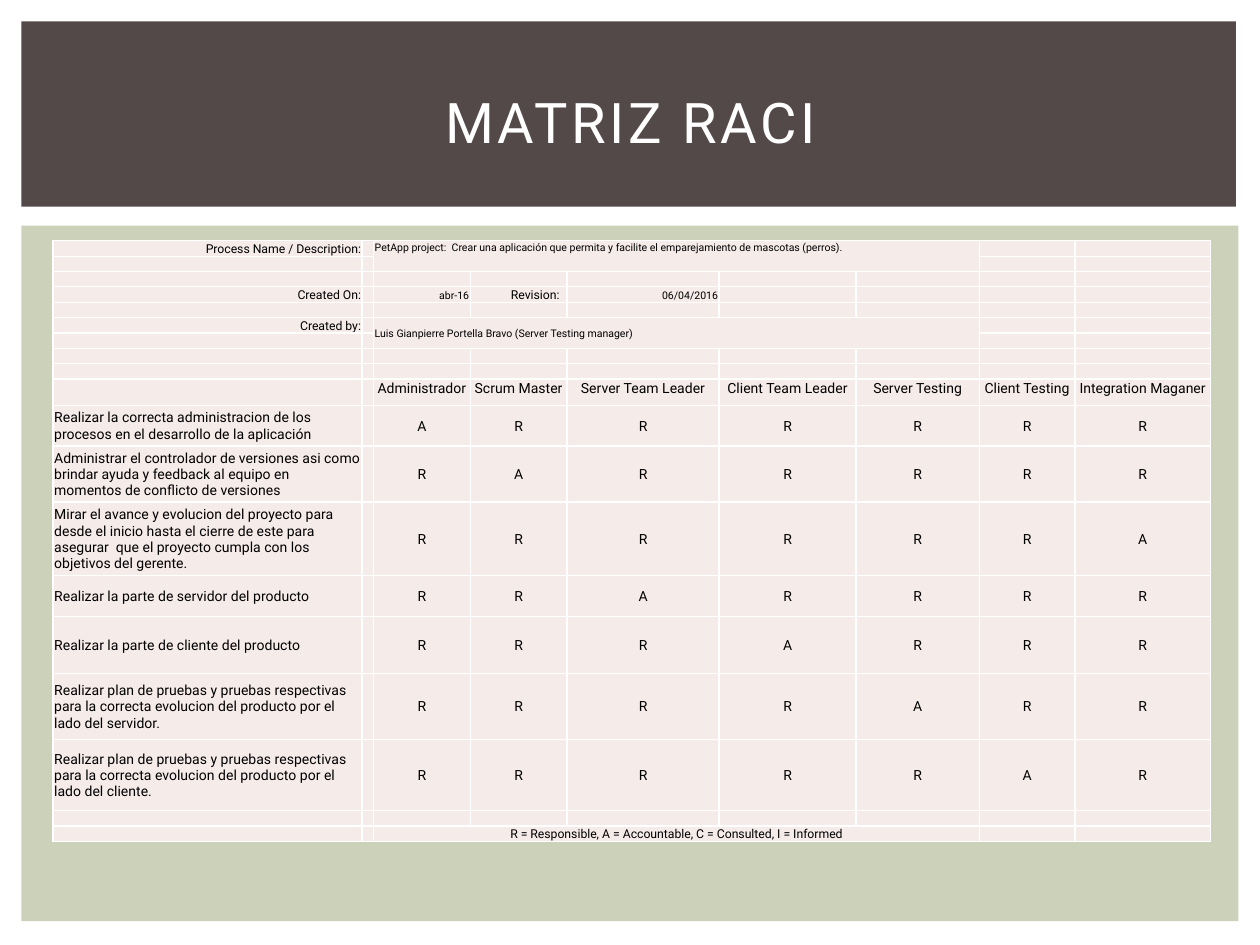
"""Build a RACI matrix slide with a title band and a responsibility table."""
from dataclasses import dataclass

from lxml.etree import SubElement
from pptx import Presentation
from pptx.dml.color import RGBColor
from pptx.enum.shapes import MSO_SHAPE
from pptx.enum.text import MSO_ANCHOR, PP_ALIGN
from pptx.oxml.ns import qn
from pptx.util import Inches, Pt

WHITE = RGBColor(0xFF, 0xFF, 0xFF)
BLACK = RGBColor(0x00, 0x00, 0x00)
GREEN = RGBColor(0xCC, 0xD1, 0xB9)
BROWN = RGBColor(0x53, 0x49, 0x49)
PINK = RGBColor(0xF5, 0xEB, 0xE9)
FONT = "Roboto"
WIDTH, HEIGHT = Inches(10), Inches(7.5)
LEFT, CENTER, RIGHT = PP_ALIGN.LEFT, PP_ALIGN.CENTER, PP_ALIGN.RIGHT
TOP, MIDDLE, BOTTOM = MSO_ANCHOR.TOP, MSO_ANCHOR.MIDDLE, MSO_ANCHOR.BOTTOM


@dataclass(frozen=True)
class Box:
    """A place given in percent of the slide's width and height."""
    left: float
    top: float
    width: float
    height: float

    def emu(self) -> tuple:
        """Return left, top, width and height as lengths."""
        return (int(WIDTH * self.left / 100), int(HEIGHT * self.top / 100),
                int(WIDTH * self.width / 100), int(HEIGHT * self.height / 100))


@dataclass(frozen=True)
class Entry:
    """A text in the form's head or foot, placed by row and column."""
    row: int
    col: int
    text: str
    size: float = 7
    align: PP_ALIGN = RIGHT
    anchor: MSO_ANCHOR = BOTTOM
    rows: int = 1
    cols: int = 1
    right: float = 0.01


@dataclass(frozen=True)
class Task:
    """A task, the index of its accountable role and its row weight."""
    text: str
    accountable: int
    height: float


PANEL = Box(1.7, 23.87, 96.6, 73.6)
BAND = Box(1.7, 2.27, 96.4, 19.6)
TITLE = Box(4.2, 5.2, 91.7, 15.33)
MATRIX = Box(4.2, 25.47, 91.9, 63.47)

ROLES = ("Administrador", "Scrum Master", "Server Team Leader", "Client Team Leader",
         "Server Testing", "Client Testing", "Integration Maganer")
PLAN = "Realizar plan de pruebas y pruebas respectivas para la correcta evolucion del producto por el lado del "
TASKS = (
    Task("Realizar la correcta administracion de los procesos en el desarrollo de la aplicación", 0, 0.32),
    Task("Administrar el controlador de versiones asi como brindar ayuda y feedback al equipo "
         "en momentos de conflicto de versiones", 1, 0.44),
    Task("Mirar el avance y evolucion del proyecto para desde el inicio hasta el cierre de este "
         "para asegurar  que el proyecto cumpla con los objetivos del gerente.", 6, 0.58),
    Task("Realizar la parte de servidor del producto", 2, 0.32),
    Task("Realizar la parte de cliente del producto", 3, 0.45),
    Task(PLAN + "servidor.", 4, 0.52),
    Task(PLAN + "cliente.", 5, 0.56),
)
HEADER, FIRST_ROLE = 9, 2
COLS = (2.46, 0.09, 0.77, 0.77, 1.21, 1.09, 0.98, 0.76, 1.08)
ROWS = (*[0.12] * HEADER, 0.21, *(t.height for t in TASKS), 0.12, 0.12)
ENTRIES = (
    Entry(0, 0, "Process Name / Description:"),
    Entry(0, 2, "PetApp project:  Crear una aplicación que permita y facilite el emparejamiento "
                "de mascotas (perros).", 6, LEFT, TOP, rows=2, cols=5),
    Entry(3, 0, "Created On:"),
    Entry(3, 2, "abr-16", 6),
    Entry(3, 3, "Revision:", right=0.06),
    Entry(3, 4, "06/04/2016", 6),
    Entry(5, 0, "Created by:"),
    Entry(5, 2, "Luis Gianpierre Portella Bravo (Server Testing manager)", 6, LEFT, MIDDLE, rows=2, cols=5),
    Entry(len(ROWS) - 1, 2, "R = Responsible, A = Accountable, C = Consulted, I = Informed", 7, CENTER, cols=5),
)


def write(tf, text: str, *, size: float = 8, color: RGBColor = BLACK,
          align: PP_ALIGN = CENTER, spacing: float = 0) -> None:
    """Write one formatted paragraph into a text frame."""
    p = tf.paragraphs[0]
    p.alignment = align
    r = p.add_run()
    r.text = text
    r.font.name, r.font.size = FONT, Pt(size)
    r.font.color.rgb = color
    if spacing:
        r._r.get_or_add_rPr().set("spc", str(int(spacing * 100)))


def add_panel(s, box: Box, color: RGBColor) -> None:
    """Draw a plain filled rectangle."""
    sp = s.shapes.add_shape(MSO_SHAPE.RECTANGLE, *box.emu())
    sp.shadow.inherit = False
    sp.fill.solid()
    sp.fill.fore_color.rgb = color
    sp.line.fill.background()


def add_title(s, text: str) -> None:
    """Draw the centred, letter-spaced title."""
    tf = s.shapes.add_textbox(*TITLE.emu()).text_frame
    tf.word_wrap = True
    tf.vertical_anchor = MIDDLE
    write(tf, text, size=32, color=WHITE, spacing=2)


def style_cell(cell) -> None:
    """Give a cell its insets, white borders, fill and a small empty line."""
    cell.margin_left = cell.margin_right = cell.margin_top = Inches(0.01)
    cell.margin_bottom = 0
    tcPr = cell._tc.get_or_add_tcPr()
    for side in ("a:lnL", "a:lnR", "a:lnT", "a:lnB"):
        ln = SubElement(tcPr, qn(side), w=str(Pt(1)))
        SubElement(SubElement(ln, qn("a:solidFill")), qn("a:srgbClr"), val=str(WHITE))
    cell.fill.solid()
    cell.fill.fore_color.rgb = PINK
    SubElement(cell.text_frame.paragraphs[0]._p, qn("a:endParaRPr"), sz="600")


def fill_cell(cell, text: str, anchor: MSO_ANCHOR = MIDDLE, **fmt) -> None:
    """Write text into a cell with a vertical anchor."""
    cell.vertical_anchor = anchor
    write(cell.text_frame, text, **fmt)


def add_matrix(s) -> None:
    """Draw the form's head, the RACI grid and the legend as one table."""
    left, top, width, height = MATRIX.emu()
    table = s.shapes.add_table(len(ROWS), len(COLS), left, top, width, height).table
    table.first_row = table.horz_banding = False
    for column, share in zip(table.columns, COLS):
        column.width = int(width * share / sum(COLS))
    for row, share in zip(table.rows, ROWS):
        row.height = int(height * share / sum(ROWS))
    for cell in table.iter_cells():
        style_cell(cell)
    for e in ENTRIES:
        cell = table.cell(e.row, e.col)
        if e.cols > 1:
            cell.merge(table.cell(e.row + e.rows - 1, e.col + e.cols - 1))
        cell.margin_right = Inches(e.right)
        fill_cell(cell, e.text, e.anchor, size=e.size, align=e.align)
    for col, role in enumerate(ROLES, FIRST_ROLE):
        fill_cell(table.cell(HEADER, col), role, TOP)
    for row, task in enumerate(TASKS, HEADER + 1):
        fill_cell(table.cell(row, 0), task.text, align=LEFT)
        for i in range(len(ROLES)):
            fill_cell(table.cell(row, FIRST_ROLE + i), "A" if i == task.accountable else "R")


def main() -> None:
    """Build and save the slide."""
    prs = Presentation()
    prs.slide_width, prs.slide_height = WIDTH, HEIGHT
    s = prs.slides.add_slide(prs.slide_layouts[6])
    add_panel(s, PANEL, GREEN)
    add_panel(s, BAND, BROWN)
    add_matrix(s)
    add_title(s, "MATRIZ RACI")
    prs.save("out.pptx")


if __name__ == "__main__":
    main()
